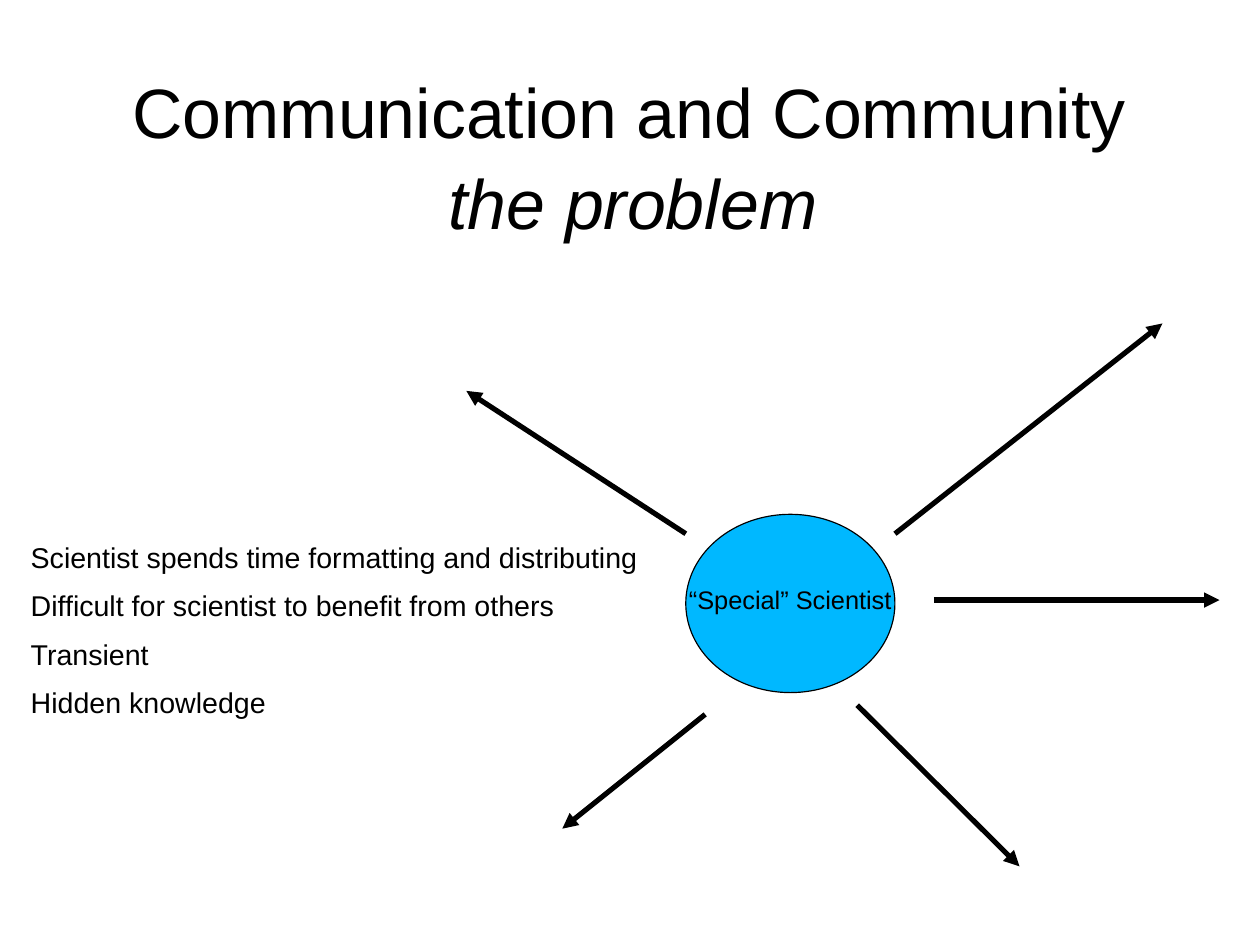
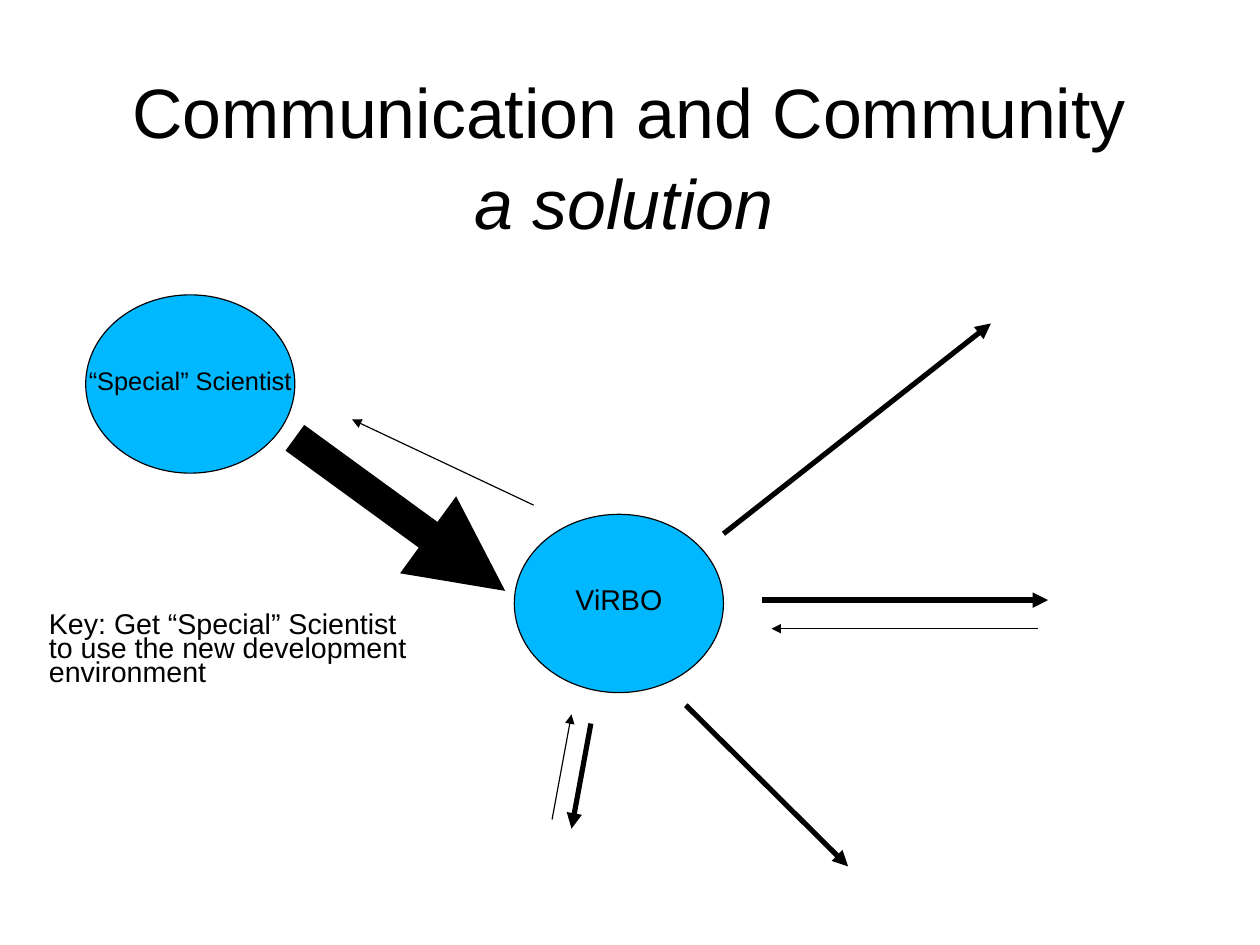
"""Build two slides on communication and community."""
from dataclasses import dataclass

from lxml.etree import SubElement
from pptx import Presentation
from pptx.dml.color import RGBColor as Rgb
from pptx.enum.shapes import MSO_CONNECTOR as Link, MSO_SHAPE as Form
from pptx.enum.text import MSO_ANCHOR as Anchor, PP_ALIGN as Align
from pptx.oxml.ns import qn
from pptx.presentation import Presentation as Deck
from pptx.slide import Slide
from pptx.text.text import TextFrame
from pptx.util import Inches, Pt


@dataclass(frozen=True)
class Theme:
    font: str = "Arial"
    ink: Rgb = Rgb(0, 0, 0)
    paper: Rgb = Rgb(255, 255, 255)
    blue: Rgb = Rgb(0, 0xB8, 0xFF)
    head: float = 44
    body: float = 18
    small: float = 16
    thin: float = 0.75
    bold: float = 3.25
    block: float = 20
    loose: float = 0.87
    tight: float = 0.71
    gap: float = 15.3


@dataclass(frozen=True)
class Box:
    x: float
    y: float
    w: float
    h: float


@dataclass(frozen=True)
class Ray:
    x1: float
    y1: float
    x2: float
    y2: float
    width: float


T = Theme()
CM = 1 / 2.54
PAGE_W, PAGE_H = 28 * CM, 21 * CM
DISC_W, DISC_H = 1.83, 1.56
HUB_Y = 4.5
SELF = "“Special” Scientist"
FAN = (
    Ray(1.83, 4.67, 4.17, 2.83, T.bold),
    Ray(2.17, 5.25, 4.67, 5.25, T.bold),
    Ray(1.5, 6.17, 2.92, 7.58, T.bold),
)


def style(frame: TextFrame, size: float, space: float, align: Align,
          italic: bool = False) -> None:
    """Format every paragraph of a frame."""
    for i, para in enumerate(frame.paragraphs):
        para.alignment = align
        para.line_spacing = space
        if i:
            para.space_before = Pt(T.gap)
        for run in para.runs:
            font = run.font
            font.name, font.size, font.italic = T.font, Pt(size), italic
            font.color.rgb = T.ink


def write(slide: Slide, box: Box, text: str, wrap: bool = True) -> TextFrame:
    """Add a text box and return its frame."""
    shape = slide.shapes.add_textbox(
        Inches(box.x), Inches(box.y), Inches(box.w), Inches(box.h))
    frame = shape.text_frame
    frame.word_wrap = wrap
    frame.text = text
    return frame


def title(slide: Slide, box: Box, text: str, italic: bool = False) -> None:
    """Add one centred heading line."""
    frame = write(slide, box, text)
    frame.margin_left = frame.margin_right = Inches(0)
    frame.margin_top = frame.margin_bottom = Inches(0)
    frame.vertical_anchor = Anchor.MIDDLE
    style(frame, T.head, T.loose, Align.CENTER, italic)


def note(slide: Slide, box: Box, text: str, wrap: bool) -> None:
    """Add left-aligned body text."""
    style(write(slide, box, text, wrap), T.body, T.tight, Align.LEFT)


def disc(slide: Slide, x: float, y: float, text: str, size: float) -> None:
    """Add a labelled blue ellipse."""
    shape = slide.shapes.add_shape(
        Form.OVAL, Inches(x), Inches(y), Inches(DISC_W), Inches(DISC_H))
    shape.shadow.inherit = False
    shape.fill.solid()
    shape.fill.fore_color.rgb = T.blue
    shape.line.color.rgb = T.ink
    shape.line.width = Pt(T.thin)
    frame = shape.text_frame
    frame.word_wrap = False
    frame.vertical_anchor = Anchor.MIDDLE
    frame.text = text
    style(frame, size, T.tight, Align.CENTER)


def arrow(slide: Slide, ray: Ray, dx: float = 0) -> None:
    """Draw a straight arrow, moved right by dx."""
    line = slide.shapes.add_connector(
        Link.STRAIGHT, Inches(ray.x1 + dx), Inches(ray.y1),
        Inches(ray.x2 + dx), Inches(ray.y2))
    line.line.color.rgb = T.ink
    line.line.width = Pt(ray.width)
    props = line.element.spPr
    SubElement(props.find(qn("a:ln")), qn("a:tailEnd"), type="triangle")
    SubElement(props, qn("a:effectLst"))


def hub(slide: Slide, x: float, text: str, size: float) -> None:
    """Draw the central disc with its fan of arrows."""
    disc(slide, x, HUB_Y, text, size)
    for ray in FAN:
        arrow(slide, ray, x)


def start(deck: Deck, sub: str, left: float) -> Slide:
    """Add a slide with the shared heading and its subtitle."""
    slide = deck.slides.add_slide(deck.slide_layouts[6])
    slide.background.fill.solid()
    slide.background.fill.fore_color.rgb = T.paper
    title(slide, Box(0.55, 0.33, 9.92, 1.38), "Communication and Community")
    title(slide, Box(left, 1.5, 9.92, 0.64), sub, True)
    return slide


def issue(deck: Deck) -> None:
    """Build the problem slide."""
    slide = start(deck, "the problem", 0.58)
    hub(slide, 6, SELF, T.small)
    for ray in (Ray(6, 4.67, 4.08, 3.42, T.bold),
                Ray(6.17, 6.25, 4.92, 7.25, T.bold)):
        arrow(slide, ray)
    points = (
        "Scientist spends time formatting and distributing",
        "Difficult for scientist to benefit from others",
        "Transient",
        "Hidden knowledge",
    )
    note(slide, Box(0.17, 4.75, 5.51, 1.59), "\n".join(points), False)


def answer(deck: Deck) -> None:
    """Build the solution slide."""
    slide = start(deck, "a solution", 0.5)
    hub(slide, 4.5, "ViRBO", T.body)
    arrow(slide, Ray(2.58, 3.83, 4.42, 5.17, T.block))
    disc(slide, 0.75, 2.58, SELF, T.small)
    for ray in (Ray(4.67, 4.42, 3.08, 3.67, T.thin),
                Ray(9.08, 5.5, 6.75, 5.5, T.thin),
                Ray(5.17, 6.33, 5, 7.25, T.bold),
                Ray(4.83, 7.17, 5, 6.25, T.thin)):
        arrow(slide, ray)
    note(slide, Box(0.33, 5.33, 3.35, 0.74),
         "Key: Get “Special” Scientist to use the new development environment",
         True)


def main() -> None:
    """Build and save the deck."""
    deck = Presentation()
    deck.slide_width, deck.slide_height = Inches(PAGE_W), Inches(PAGE_H)
    issue(deck)
    answer(deck)
    deck.save("out.pptx")


if __name__ == "__main__":
    main()
